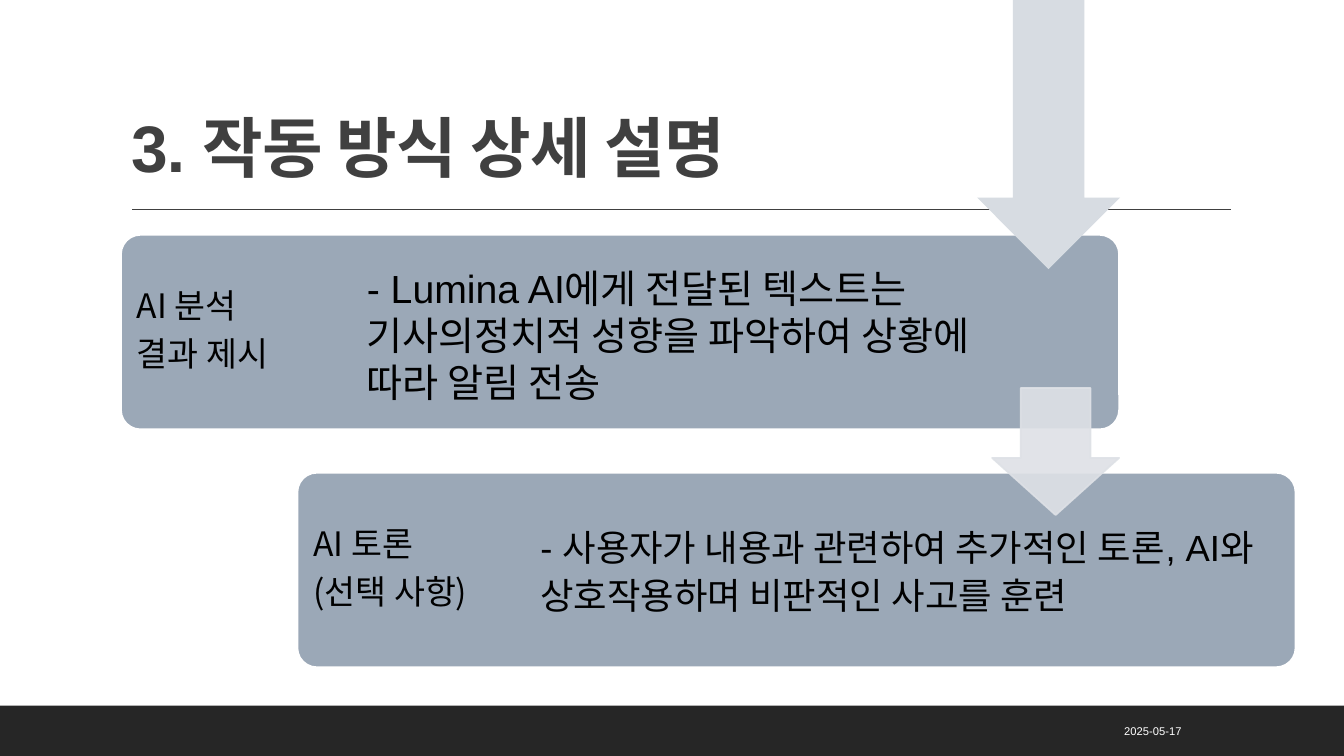
"""Builds the slide that explains the AI analysis and AI debate steps."""
from dataclasses import dataclass

import lxml.etree
import pptx
import pptx.dml.color
import pptx.enum.shapes
import pptx.enum.text
import pptx.oxml.ns
import pptx.util

Inches, Pt = pptx.util.Inches, pptx.util.Pt
SHAPE = pptx.enum.shapes.MSO_SHAPE
ANCHOR = pptx.enum.text.MSO_ANCHOR
ALIGN = pptx.enum.text.PP_ALIGN
qn = pptx.oxml.ns.qn


@dataclass(frozen=True)
class Theme:
    latin: str = "Arial"
    korean: str = "Noto Sans CJK KR"
    white: str = "FFFFFF"
    black: str = "000000"
    heading: str = "404040"
    footer: str = "262626"
    card: str = "9BA8B7"
    step_arrow: str = "DEE1E6"
    entry_arrow: str = "D7DCE2"
    title_size: float = 47
    label_size: float = 24
    date_size: float = 8
    outline: float = 1.25


class Deck:
    def __init__(self, theme):
        self.theme = theme
        self.prs = pptx.Presentation()
        self.prs.slide_width = Inches(13.33)
        self.prs.slide_height = Inches(7.5)
        self.s = self.prs.slides.add_slide(self.prs.slide_layouts[5])

    def color(self, fmt, rgb, alpha=None):
        fmt.solid()
        fmt.fore_color.rgb = pptx.dml.color.RGBColor.from_string(rgb)
        if alpha:
            clr = fmt._xPr.find(qn("a:solidFill"))[0]
            lxml.etree.SubElement(clr, qn("a:alpha")).set("val", str(alpha * 1000))

    def shape(self, kind, at, fill, line=None, adj=(), alpha=None):
        sp = self.s.shapes.add_shape(kind, *map(Inches, at))
        sp.shadow.inherit = False
        for i, value in enumerate(adj):
            sp.adjustments[i] = value
        self.color(sp.fill, fill, alpha)
        if line:
            sp.line.width = Pt(self.theme.outline)
            self.color(sp.line.fill, line, alpha)
        else:
            sp.line.fill.background()

    def rule(self, x1, x2, y):
        line = self.s.shapes.add_connector(
            pptx.enum.shapes.MSO_CONNECTOR.STRAIGHT,
            Inches(x1), Inches(y), Inches(x2), Inches(y))
        line.line.width = Pt(1)
        self.color(line.line.fill, self.theme.heading)
        lxml.etree.SubElement(line._element.spPr, qn("a:effectLst"))

    def fill_text(self, sp, text, size, color, font, anchor, insets=(0.1, 0.05, 0.1, 0.05),
                  bold=False, align=ALIGN.LEFT, spacing=None, before=0, after=0):
        tf = sp.text_frame
        tf.word_wrap = True
        tf.auto_size = pptx.enum.text.MSO_AUTO_SIZE.NONE
        tf.vertical_anchor = anchor
        tf.margin_left, tf.margin_top, tf.margin_right, tf.margin_bottom = map(Inches, insets)
        tf.text = text
        for p in tf.paragraphs:
            p.alignment = align
            p.line_spacing = spacing
            p.space_before, p.space_after = Pt(before), Pt(after)
            for r in p.runs:
                r.font.name, r.font.size, r.font.bold = font, Pt(size), bold
                r.font.color.rgb = pptx.dml.color.RGBColor.from_string(color)
                ea = lxml.etree.SubElement(r.font._element, qn("a:ea"))
                ea.set("typeface", self.theme.korean)

    def title(self, text, at):
        sp = self.s.shapes.title
        sp.left, sp.top, sp.width, sp.height = map(Inches, at)
        self.fill_text(sp, text, self.theme.title_size, self.theme.heading,
                       self.theme.latin, ANCHOR.BOTTOM, bold=True, spacing=0.9)
        for r in sp.text_frame.paragraphs[0].runs:
            r.font._element.set("spc", "-50")

    def text(self, text, at, size, color, font, anchor, **style):
        sp = self.s.shapes.add_textbox(*map(Inches, at))
        self.fill_text(sp, text, size, color, font, anchor, **style)

    def card(self, left, top, label, label_width):
        t = self.theme
        self.shape(SHAPE.ROUNDED_RECTANGLE, (left, top, 9.9, 1.93), t.card, t.white, (0.1,))
        self.text(label, (left + 0.06, top + 0.05, label_width, 1.82), t.label_size, t.black,
                  t.korean, ANCHOR.MIDDLE, insets=(0.1,) * 4, spacing=0.9,
                  after=t.label_size * 0.35)

    def detail(self, text, at, size, spacing=None):
        self.text(text, at, size, self.theme.black, self.theme.latin, ANCHOR.TOP,
                  insets=(0.1, 0.05, 0, 0.05), spacing=spacing, before=12, after=2)


def main():
    t = Theme()
    deck = Deck(t)
    deck.shape(SHAPE.RECTANGLE, (0, 7, 13.33, 0.5), t.footer)
    deck.rule(1.31, 12.21, 2.08)
    deck.title("3. 작동 방식 상세 설명", (1.2, 0.31, 11, 1.59))
    deck.text("2025-05-17", (8.99, 7.05, 2.83, 0.4), t.date_size, t.white, t.latin,
              ANCHOR.MIDDLE, align=ALIGN.RIGHT)
    deck.card(1.2, 2.33, "AI 분석\n결과 제시", 7.9)
    deck.card(2.95, 4.69, "AI 토론\n(선택 사항)", 6.78)
    deck.shape(SHAPE.DOWN_ARROW, (9.84, 3.85, 1.26, 1.26), t.step_arrow, t.step_arrow,
               (0.55, 0.45), alpha=90)
    deck.detail("- Lumina AI에게 전달된 텍스트는 기사의정치적 성향을 파악하여 상황에 따라 알림 전송",
                (3.54, 2.57, 6.42, 1.38), 28)
    deck.detail("- 사용자가 내용과 관련하여 추가적인 토론, AI와 상호작용하며 비판적인 사고를 훈련",
                (5.26, 5.12, 7.45, 1.38), 26, spacing=1.1)
    deck.shape(SHAPE.DOWN_ARROW, (9.69, 0, 1.42, 2.67), t.entry_arrow)
    deck.prs.save("out.pptx")


if __name__ == "__main__":
    main()
